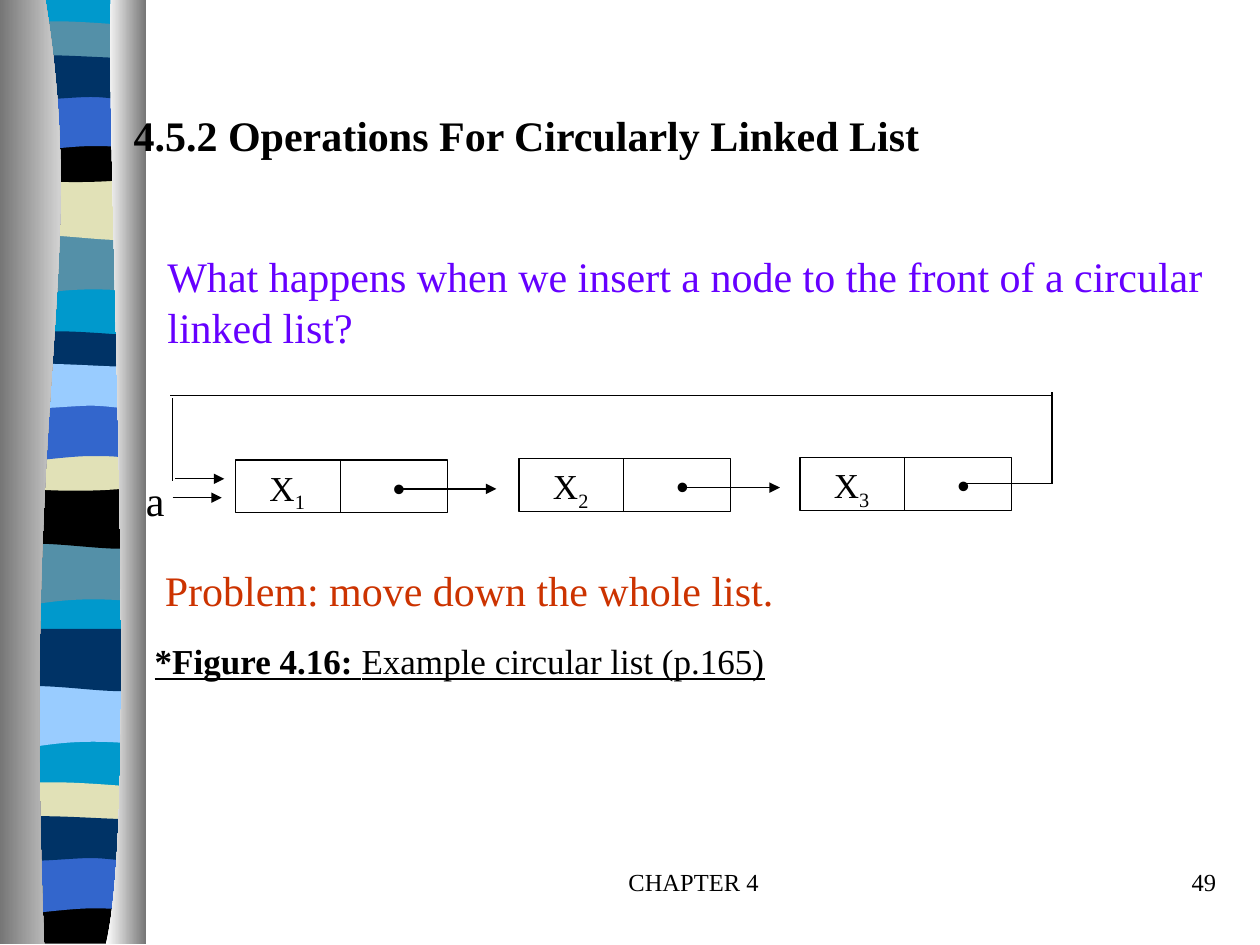
from lxml.etree import SubElement
from pptx import Presentation
from pptx.dml.color import RGBColor
from pptx.enum.shapes import MSO_CONNECTOR, MSO_SHAPE
from pptx.enum.text import MSO_ANCHOR, MSO_AUTO_SIZE, PP_ALIGN
from pptx.oxml.ns import qn
from pptx.util import Inches, Pt

BLACK = RGBColor(0x00, 0x00, 0x00)
WHITE = RGBColor(0xFF, 0xFF, 0xFF)
CYAN = RGBColor(0x00, 0x99, 0xCC)
TEAL = RGBColor(0x54, 0x90, 0xA8)
SAND = RGBColor(0xE1, 0xE1, 0xB7)
BLUE = RGBColor(0x33, 0x66, 0xCC)
NAVY = RGBColor(0x00, 0x33, 0x66)
SKY = RGBColor(0x99, 0xCC, 0xFF)
GRAY = RGBColor(0x76, 0x76, 0x76)
VIOLET = RGBColor(0x66, 0x00, 0xFF)
RUST = RGBColor(0xCC, 0x33, 0x00)
SERIF = "Times New Roman"

LEFT, RIGHT = 0.06, 1.14
WAVES = {
    "dip": (0.47, [[(0.39, 0.39), (0.24, 0.55), (LEFT, 0.47)]], 0, []),
    "swell": (0.47, [[(0.96, 0.55), (0.39, 0.41), (LEFT, 0.47)]], 0, []),
    "lens": (0.29, [[(0.96, 0.33), (0.24, 0.33), (LEFT, 0.29)]], 0.05,
             [[(0.12, 0), (0.29, 0.01), (0.47, 0.01)],
              [(0.65, 0.01), (1, 0.04), (RIGHT, 0.05)]]),
    "bowl": (0.32, [[(0.96, 0.38), (0.24, 0.38), (LEFT, 0.32)]], 0,
             [[(0.72, 0.05), (0.91, 0), (RIGHT, 0)]]),
    "arch": (0.47, [[(0.97, 0.42), (0.9, 0.42), (0.72, 0.42)],
                    [(0.54, 0.42), (0.22, 0.47), (LEFT, 0.47)]], 0, []),
    "flag": (0.36, [[(1.07, 0.41), (0.9, 0.36), (0.72, 0.36)],
                    [(0.54, 0.36), (0.17, 0.41), (LEFT, 0.36)]], 0.05,
             [[(0.21, 0), (0.79, 0.05), (0.97, 0.05)],
              [(1.15, 0.05), (1.1, 0.05), (RIGHT, 0.05)]]),
    "block": (0.37, [[(LEFT, 0.37)]], 0, [[(0.71, 0.05), (0.9, 0), (RIGHT, 0)]]),
}
BANDS = [
    ("dip", 1.85, TEAL), ("swell", 1.41, SAND), ("lens", 0.16, TEAL),
    ("bowl", 1.08, BLACK), ("arch", 0.74, BLUE), ("flag", 0.41, NAVY),
    ("dip", 4.31, TEAL), ("swell", 3.86, BLACK), ("lens", 2.62, NAVY),
    ("bowl", 3.53, SAND), ("arch", 3.2, BLUE), ("flag", 2.86, SKY),
    ("dip", 5.44, SKY), ("swell", 4.99, NAVY), ("lens", 6.2, SAND),
    ("block", 7.12, BLACK), ("arch", 6.79, BLUE), ("flag", 6.45, NAVY),
]


def add_form(slide, start, parts, color=None, top=0):
    def spot(dot):
        return Inches(dot[0]), Inches(dot[1] + top)

    build = slide.shapes.build_freeform(*spot(start))
    build.add_line_segments([spot(dot) for part in parts for dot in part])
    form = build.convert_to_shape()
    steps = iter(list(form.element.iter(qn("a:lnTo"))))
    for part in parts:
        step = next(steps)
        if len(part) == 3:
            curve = step.makeelement(qn("a:cubicBezTo"))
            step.addprevious(curve)
            for old in (step, next(steps), next(steps)):
                curve.append(old[0])
                old.getparent().remove(old)
    form.shadow.inherit = False
    form.line.fill.background()
    if color is not None:
        form.fill.solid()
        form.fill.fore_color.rgb = color
    return form


def add_band(slide, kind, top, color):
    low, under, high, over = WAVES[kind]
    parts = under + [[(LEFT, high)]] + (over or [[(RIGHT, high)]])
    add_form(slide, (RIGHT, low), parts + [[(RIGHT, low)]], color, top)


def add_pipe(slide, start, curve, side, first, last):
    parts = [curve, [(side, 7.49)], [(side, 0)], [start]]
    fill = add_form(slide, start, parts).fill
    fill.gradient()
    fill.gradient_angle = 0
    for stop, color in zip(fill.gradient_stops, (first, last)):
        stop.color.rgb = color


def add_run(para, text, size, color=BLACK, bold=False, under=False,
            font=SERIF, base=0):
    run = para.add_run()
    run.text = text
    face = run.font
    face.name, face.size, face.bold = font, Pt(size), bold
    face.color.rgb = color
    if under:
        face.underline = True
    if base:
        run._r.get_or_add_rPr().set("baseline", str(base))


def add_box(slide, left, top, width, height, align=PP_ALIGN.LEFT, wrap=False):
    box = slide.shapes.add_textbox(
        Inches(left), Inches(top), Inches(width), Inches(height))
    box.text_frame.word_wrap = wrap
    para = box.text_frame.paragraphs[0]
    para.alignment = align
    return para, box.text_frame


def add_line(slide, x, y, end_x, end_y, arrow=False):
    line = slide.shapes.add_connector(
        MSO_CONNECTOR.STRAIGHT, Inches(x), Inches(y),
        Inches(end_x), Inches(end_y))
    line.line.color.rgb = BLACK
    line.line.width = Pt(0.75)
    if arrow:
        SubElement(line.line._get_or_add_ln(), qn("a:tailEnd"), type="triangle")
    SubElement(line.element.spPr, qn("a:effectLst"))


def add_node(slide, left, top, label):
    rect = slide.shapes.add_shape(
        MSO_SHAPE.RECTANGLE, Inches(left), Inches(top),
        Inches(1.68), Inches(0.42))
    rect.shadow.inherit = False
    rect.fill.background()
    rect.line.color.rgb = BLACK
    rect.line.width = Pt(0.75)
    add_line(slide, left + 0.83, top, left + 0.83, top + 0.42)
    para, _ = add_box(slide, left + 0.17, top, 1.4, 0.48, wrap=True)
    tabs = SubElement(para._p.get_or_add_pPr(), qn("a:tabLst"))
    SubElement(tabs, qn("a:tab"), pos=str(Inches(0.98)), algn="l")
    add_run(para, "X", 20)
    add_run(para, f"{label}\t", 20, base=-25000)
    add_run(para, "•", 20, font="Arial")


def set_title(slide, text):
    title = slide.shapes.title
    title.left, title.top = Inches(0.96), Inches(0.82)
    title.width, title.height = Inches(6.45), Inches(0.5)
    frame = title.text_frame
    frame.word_wrap = False
    frame.auto_size = MSO_AUTO_SIZE.NONE
    frame.vertical_anchor = MSO_ANCHOR.TOP
    para = frame.paragraphs[0]
    para.alignment = PP_ALIGN.LEFT
    add_run(para, text, 24, bold=True)
    slide.shapes.element.append(title.element)


def main():
    deck = Presentation()
    deck.slide_width, deck.slide_height = Inches(10), Inches(7.5)
    slide = deck.slides.add_slide(deck.slide_layouts[5])

    add_form(slide, (RIGHT, 0),
             [[(RIGHT, 7.47)], [(LEFT, 7.47)], [(LEFT, 0)], [(RIGHT, 0)]], CYAN)
    for band in BANDS:
        add_band(slide, *band)
    add_pipe(slide, (0.36, 0), [(0.71, 2.16), (0.17, 2.96), (0.35, 7.49)],
             0, GRAY, WHITE)
    add_pipe(slide, (0.88, 0), [(0.84, 1.25), (1.11, 6.46), (0.84, 7.49)],
             1.16, WHITE, GRAY)

    set_title(slide, "4.5.2 Operations For Circularly Linked List")
    para, frame = add_box(slide, 1.23, 1.94, 8.42, 0.9)
    add_run(para, "What happens when we insert a node to the front of a circular",
            24, VIOLET)
    add_run(frame.add_paragraph(), "linked list?", 24, VIOLET)

    for n, left in enumerate((1.87, 4.12, 6.35)):
        top = 3.65 - 0.01 * n
        add_node(slide, left, top, n + 1)
        if n < 2:
            add_line(slide, left + 1.29, top + 0.23, left + 2.07, top + 0.23, True)
    add_line(slide, 7.62, 3.84, 8.35, 3.84)
    add_line(slide, 8.35, 3.84, 8.35, 3.11)
    add_line(slide, 8.35, 3.14, 1.35, 3.14)
    add_line(slide, 1.37, 3.16, 1.37, 3.82)
    add_line(slide, 1.39, 3.8, 1.78, 3.8, True)
    add_line(slide, 1.37, 3.95, 1.76, 3.95, True)
    para, _ = add_box(slide, 1.06, 3.72, 0.35, 0.5)
    add_run(para, "a", 24)

    para, _ = add_box(slide, 1.21, 4.43, 5.03, 0.5)
    add_run(para, "Problem: move down the whole list.", 24, RUST)
    para, _ = add_box(slide, 1.13, 5.03, 5.04, 0.44)
    add_run(para, "*Figure 4.16: ", 20, bold=True, under=True)
    add_run(para, "Example circular list (p.165)", 20, under=True)

    para, _ = add_box(slide, 3.92, 6.83, 3.17, 0.5, PP_ALIGN.CENTER, True)
    add_run(para, "CHAPTER 4", 14)
    para, _ = add_box(slide, 7.67, 6.83, 2.08, 0.5, PP_ALIGN.RIGHT, True)
    add_run(para, "49", 14)
    deck.save("out.pptx")


if __name__ == "__main__":
    main()
